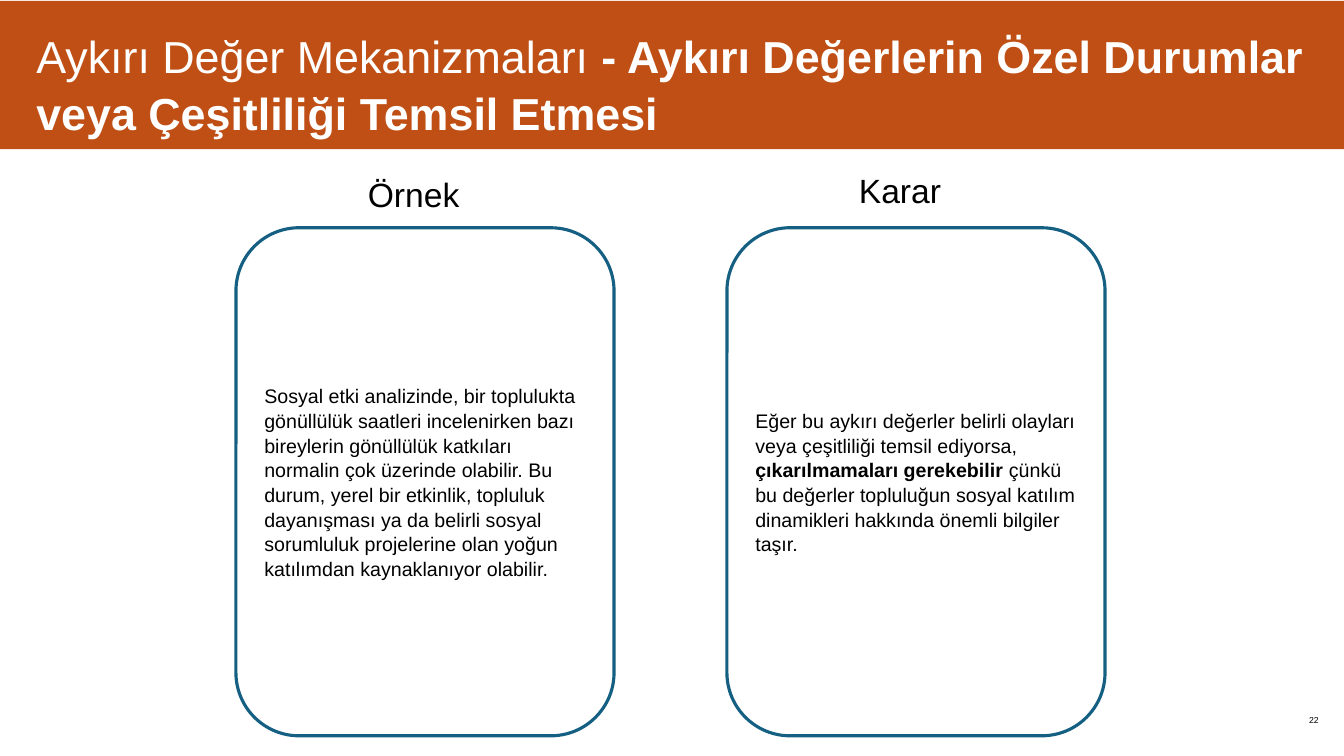
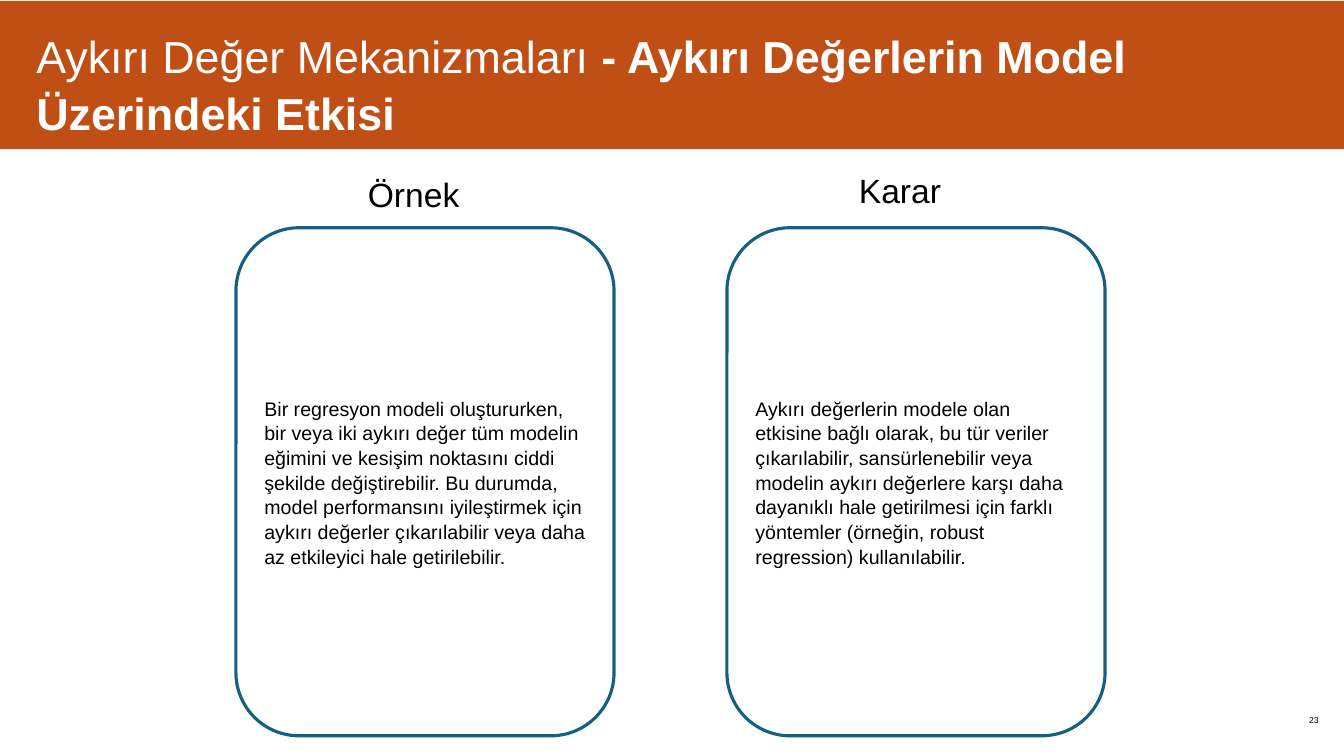
from pptx import Presentation
from pptx.dml.color import RGBColor
from pptx.enum.shapes import MSO_SHAPE as Shape
from pptx.enum.text import MSO_ANCHOR as Anchor, MSO_AUTO_SIZE as AutoSize, PP_ALIGN as Align
from pptx.util import Emu, Pt

PX = 9144
FONT = "Arial"
COLORS = {"band": "BF4F14", "outline": "156082", "paper": "FFFFFF", "ink": "000000"}
SLIDE_SIZE = (1333, 750)
TITLE_ONLY_LAYOUT = 5
FIRST_NUMBER = 22
LINE_SPACING = 1.05

CARD_TOP, CARD_WIDTH, CARD_HEIGHT = 226, 375, 504
HEADING_OFFSET = 121
COLUMNS = [("Örnek", 234, 166), ("Karar", 721, 162)]

TITLE_START = "Aykırı Değer Mekanizmaları"
SLIDES = [
    (
        " - Aykırı Değerlerin Özel Durumlar veya Çeşitliliği Temsil Etmesi",
        [
            [(
                "Sosyal etki analizinde, bir toplulukta gönüllülük saatleri incelenirken "
                "bazı bireylerin gönüllülük katkıları normalin çok üzerinde olabilir. Bu "
                "durum, yerel bir etkinlik, topluluk dayanışması ya da belirli sosyal "
                "sorumluluk projelerine olan yoğun katılımdan kaynaklanıyor olabilir.",
                False,
            )],
            [
                ("Eğer bu aykırı değerler belirli olayları veya çeşitliliği temsil ediyorsa, ", False),
                ("çıkarılmamaları gerekebilir ", True),
                (
                    "çünkü bu değerler topluluğun sosyal katılım dinamikleri hakkında "
                    "önemli bilgiler taşır.",
                    False,
                ),
            ],
        ],
    ),
    (
        " - Aykırı Değerlerin Model Üzerindeki Etkisi",
        [
            [(
                "Bir regresyon modeli oluştururken, bir veya iki aykırı değer tüm modelin "
                "eğimini ve kesişim noktasını ciddi şekilde değiştirebilir. Bu durumda, "
                "model performansını iyileştirmek için aykırı değerler çıkarılabilir veya "
                "daha az etkileyici hale getirilebilir.",
                False,
            )],
            [(
                "Aykırı değerlerin modele olan etkisine bağlı olarak, bu tür veriler "
                "çıkarılabilir, sansürlenebilir veya modelin aykırı değerlere karşı daha "
                "dayanıklı hale getirilmesi için farklı yöntemler (örneğin, robust "
                "regression) kullanılabilir.",
                False,
            )],
        ],
    ),
]


def px(*lengths):
    return [Emu(length * PX) for length in lengths]


def color(name):
    return RGBColor.from_string(COLORS[name])


def write(shape, runs, size, ink="ink", align=Align.LEFT, anchor=Anchor.TOP, inset=(10, 5)):
    frame = shape.text_frame
    frame.word_wrap = True
    frame.auto_size = AutoSize.NONE
    frame.vertical_anchor = anchor
    across, down = px(*inset)
    frame.margin_left = frame.margin_right = across
    frame.margin_top = frame.margin_bottom = down
    paragraph = frame.paragraphs[0]
    paragraph.alignment = align
    paragraph.line_spacing = LINE_SPACING
    paragraph.font.name = FONT
    paragraph.font.size = Pt(size)
    paragraph.font.color.rgb = color(ink)
    for text, bold in runs:
        run = paragraph.add_run()
        run.text = text
        if bold:
            run.font.bold = True


def add_block(slide, preset, box, fill):
    block = slide.shapes.add_shape(preset, *px(*box))
    block.shadow.inherit = False
    block.fill.solid()
    block.fill.fore_color.rgb = color(fill)
    block.line.fill.background()
    return block


def add_label(slide, box, text, size, **style):
    write(slide.shapes.add_textbox(*px(*box)), [(text, False)], size, **style)


def add_title(slide, topic):
    title = slide.shapes.title
    band = add_block(slide, Shape.RECTANGLE, (0, 1, SLIDE_SIZE[0], 147), "band")
    title.element.addprevious(band.element)
    title.left, title.top, title.width, title.height = px(23, 13, 1310, 135)
    write(title, [(TITLE_START, False), (topic, True)], 32, ink="paper", inset=(13, 13))


def add_card(slide, left, runs):
    box = (left, CARD_TOP, CARD_WIDTH, CARD_HEIGHT)
    card = add_block(slide, Shape.ROUNDED_RECTANGLE, box, "paper")
    card.adjustments[0] = 0.167
    card.line.color.rgb = color("outline")
    card.line.width = Pt(2.25)
    write(card, runs, 14, anchor=Anchor.MIDDLE)


def add_content_slide(deck, number, topic, cards):
    slide = deck.slides.add_slide(deck.slide_layouts[TITLE_ONLY_LAYOUT])
    add_title(slide, topic)
    for (heading, left, heading_top), runs in zip(COLUMNS, cards):
        add_card(slide, left, runs)
        add_label(slide, (left + HEADING_OFFSET, heading_top, 132, 50), heading, 24)
    add_label(slide, (1241, 686, 80, 57), str(number), 6.2,
              align=Align.RIGHT, anchor=Anchor.MIDDLE, inset=(13, 13))


def main():
    deck = Presentation()
    deck.slide_width, deck.slide_height = px(*SLIDE_SIZE)
    for number, (topic, cards) in enumerate(SLIDES, FIRST_NUMBER):
        add_content_slide(deck, number, topic, cards)
    deck.save("out.pptx")


if __name__ == "__main__":
    main()
